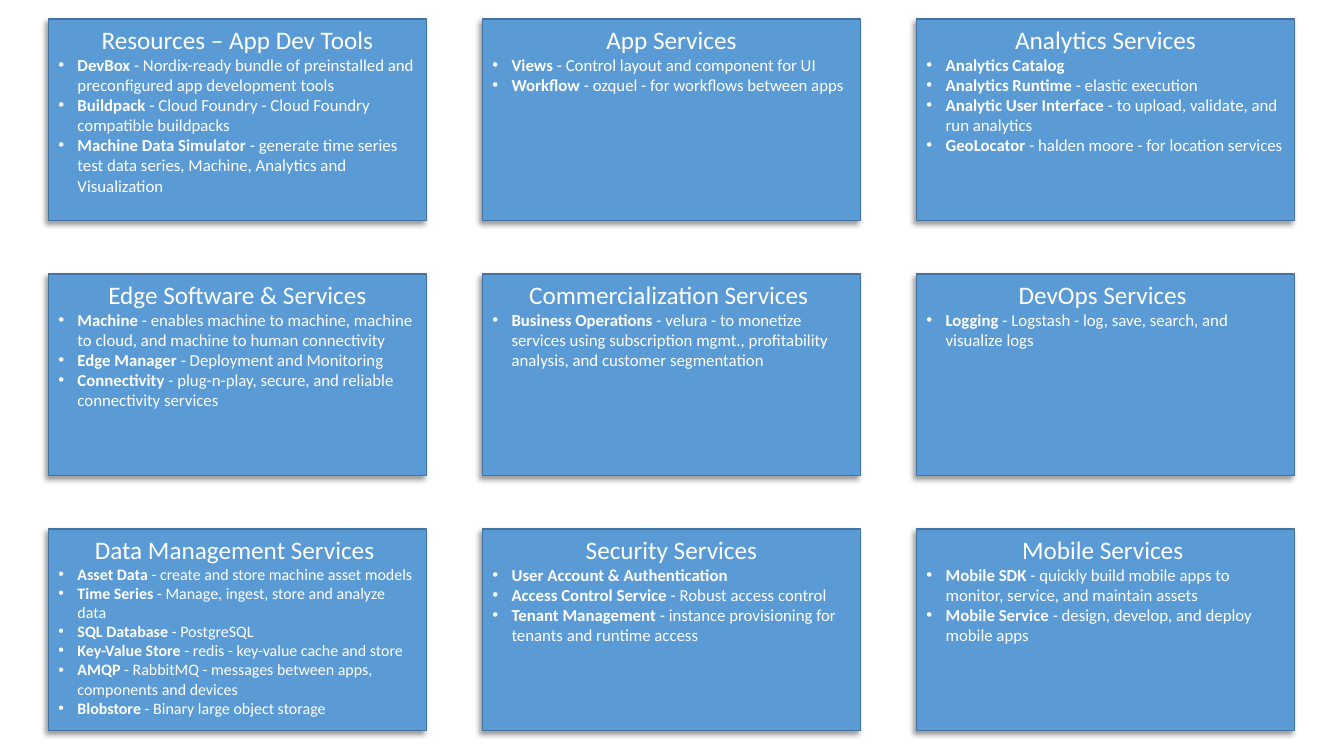
from dataclasses import dataclass
from typing import Any

from lxml.etree import SubElement as Sub
from pptx import Presentation
from pptx.dml.color import RGBColor as RGB
from pptx.enum.shapes import MSO_SHAPE as Shape
from pptx.enum.text import MSO_ANCHOR as Anchor, PP_ALIGN as Align
from pptx.oxml.ns import qn
from pptx.util import Inches, Pt


@dataclass(frozen=True)
class Theme:
    fill: RGB = RGB(0x5B, 0x9B, 0xD5)
    line: RGB = RGB(0x43, 0x73, 0x9E)
    text: RGB = RGB(0xFF, 0xFF, 0xFF)
    shade: str = "000000"
    font: str = "Calibri"
    head: float = 18
    body: float = 12
    small: float = 11.4


@dataclass(frozen=True)
class Grid:
    """Equal cards spread evenly between the outer edges, in inches."""
    left: float = 0.48
    top: float = 0.19
    right: float = 12.84
    base: float = 7.25
    wide: float = 3.75
    high: float = 2
    cols: int = 3
    rows: int = 3

    def place(self, col: int, row: int) -> tuple[int, ...]:
        across = (self.right - self.left - self.wide) / (self.cols - 1)
        down = (self.base - self.top - self.high) / (self.rows - 1)
        box = (self.left + col * across, self.top + row * down, self.wide, self.high)
        return tuple(Inches(size) for size in box)


@dataclass(frozen=True)
class Card:
    title: str
    items: tuple[tuple[str, str], ...]  # bold name, plain note
    size: float = Theme.body


THEME = Theme()
GRID = Grid()
INDENT = Inches(0.19)

# Cards, row by row
CARDS = [
    Card("Resources – App Dev Tools", (
        ("DevBox", " - Nordix-ready bundle of preinstalled and preconfigured app development tools"),
        ("Buildpack ", "- Cloud Foundry - Cloud Foundry compatible buildpacks"),
        ("Machine Data Simulator",
         " - generate time series test data series, Machine, Analytics and Visualization"))),
    Card("App Services", (
        ("Views", " - Control layout and component for UI"),
        ("Workflow ", "- ozquel - for workflows between apps"))),
    Card("Analytics Services", (
        ("Analytics Catalog", ""),
        ("Analytics Runtime ", "- elastic execution"),
        ("Analytic User Interface ", "- to upload, validate, and run analytics"),
        ("GeoLocator ", "- halden moore - for location services"))),
    Card("Edge Software & Services", (
        ("Machine",
         " - enables machine to machine, machine to cloud, and machine to human connectivity"),
        ("Edge Manager", " - Deployment and Monitoring"),
        ("Connectivity ", "- plug-n-play, secure, and reliable connectivity services"))),
    Card("Commercialization Services ", (
        ("Business Operations ",
         "- velura - to monetize services using subscription mgmt., "
         "profitability analysis, and customer segmentation"),)),
    Card("DevOps Services ", (
        ("Logging", " - Logstash - log, save, search, and visualize logs"),)),
    Card("Data Management Services ", (
        ("Asset Data", " - create and store machine asset models"),
        ("Time Series", " - Manage, ingest, store and analyze data"),
        ("SQL Database", " - PostgreSQL"),
        ("Key-Value Store", " - redis - key-value cache and store"),
        ("AMQP ", "- RabbitMQ - messages between apps, components and devices"),
        ("Blobstore", " - Binary large object storage")), THEME.small),
    Card("Security Services", (
        ("User Account & Authentication", ""),
        ("Access Control Service ", "- Robust access control"),
        ("Tenant Management ", "- instance provisioning for tenants and runtime access"))),
    Card("Mobile Services ", (
        ("Mobile SDK ", "- quickly build mobile apps to monitor, service, and maintain assets"),
        ("Mobile Service ", "- design, develop, and deploy mobile apps"))),
]


def style(part: Any, values: dict[str, Any]) -> None:
    for name, value in values.items():
        setattr(part, name, value)


def write(para: Any, text: str, size: float, bold: bool = False) -> None:
    run = para.add_run()
    run.text = text
    style(run.font, {"name": THEME.font, "size": Pt(size), "bold": bold})
    run.font.color.rgb = THEME.text


def bullet(para: Any) -> None:
    props = para._p.get_or_add_pPr()
    style(para, {"alignment": Align.LEFT})
    props.set("marL", str(INDENT))
    props.set("indent", str(-INDENT))
    Sub(props, qn("a:buFont"), typeface="Arial")
    Sub(props, qn("a:buChar"), char="•")


def shadow(shape: Any) -> None:
    shape.shadow.inherit = False
    effects = shape._element.spPr.find(qn("a:effectLst"))
    outer = Sub(effects, qn("a:outerShdw"), blurRad=str(Pt(4)), dist=str(Pt(3)),
                dir=str(135 * 60000), algn="tr", rotWithShape="0")
    color = Sub(outer, qn("a:srgbClr"), val=THEME.shade)
    Sub(color, qn("a:alpha"), val="40000")


def draw(slide: Any, card: Card, col: int, row: int) -> None:
    # Panel
    panel = slide.shapes.add_shape(Shape.RECTANGLE, *GRID.place(col, row))
    panel.fill.solid()
    panel.fill.fore_color.rgb = THEME.fill
    panel.line.color.rgb = THEME.line
    panel.line.width = Pt(1)
    shadow(panel)

    # Title and bullets
    frame = panel.text_frame
    style(frame, {"word_wrap": True, "vertical_anchor": Anchor.TOP})
    title = frame.paragraphs[0]
    title.alignment = Align.CENTER
    write(title, card.title, THEME.head)
    for name, note in card.items:
        para = frame.add_paragraph()
        bullet(para)
        write(para, name, card.size, bold=True)
        if note:
            write(para, note, card.size)


def main() -> None:
    deck = Presentation()
    style(deck, {"slide_width": Inches(13.33), "slide_height": Inches(7.5)})
    slide = deck.slides.add_slide(deck.slide_layouts[6])
    for spot, card in enumerate(CARDS):
        row, col = divmod(spot, GRID.cols)
        draw(slide, card, col, row)
    deck.save("out.pptx")


if __name__ == "__main__":
    main()
